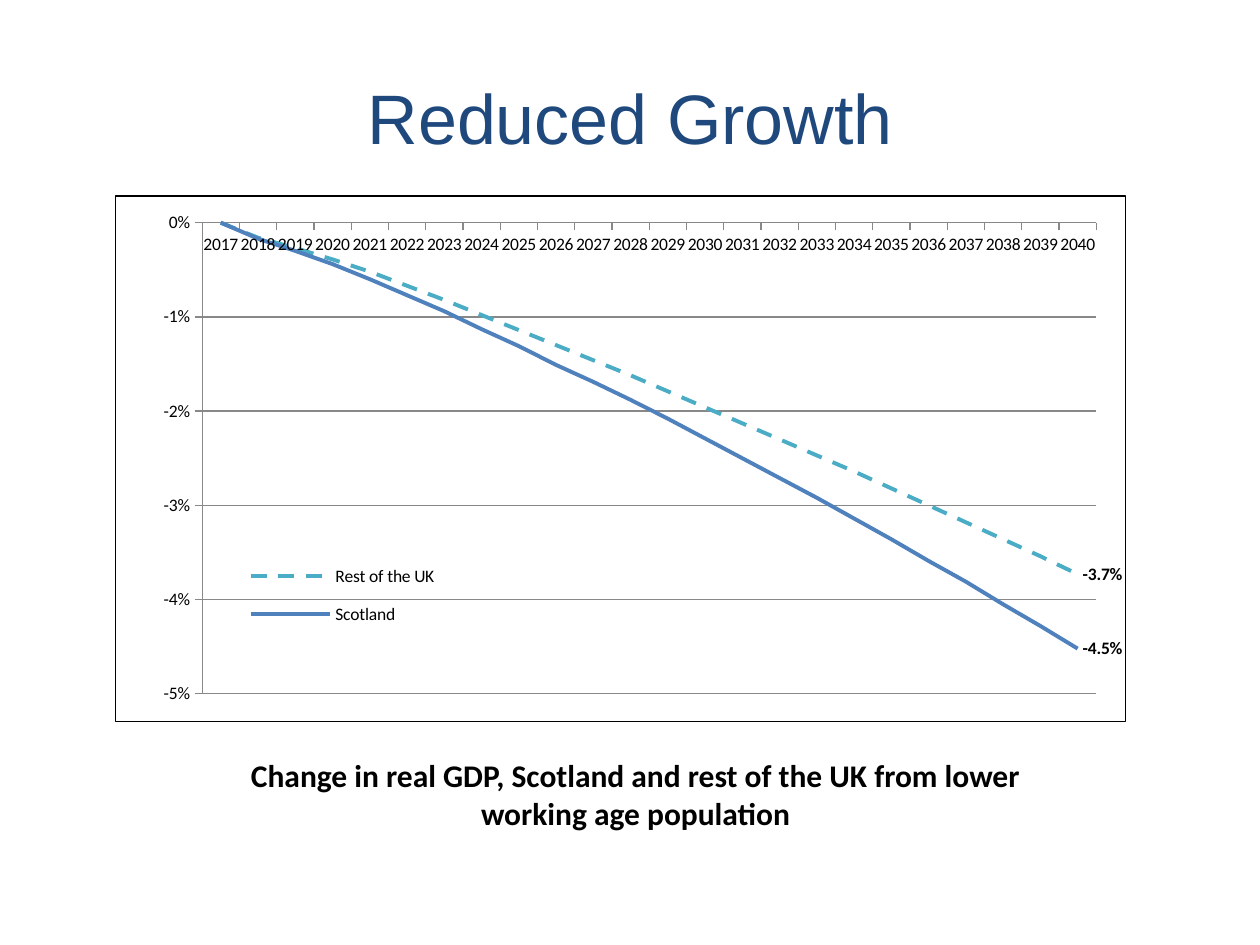
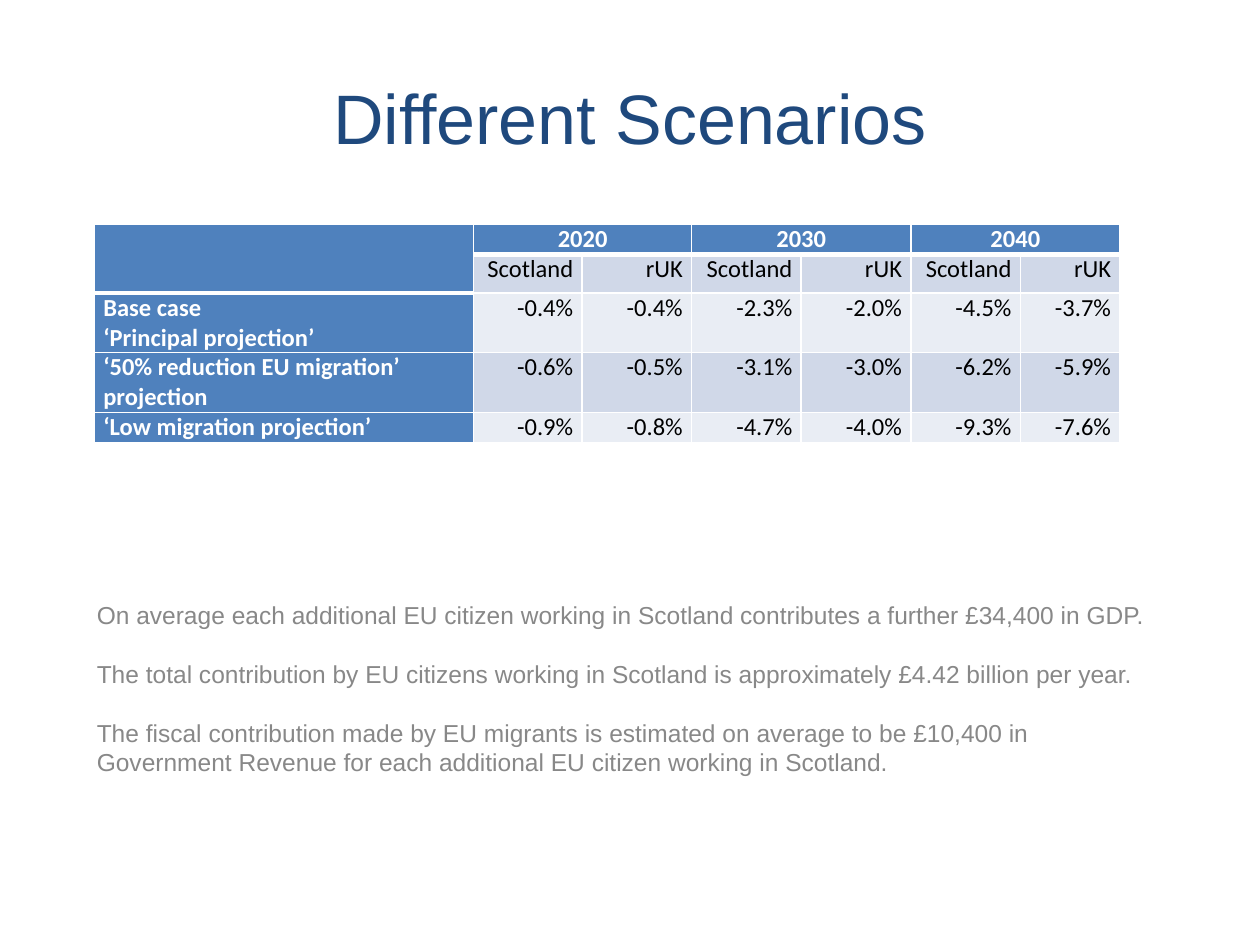
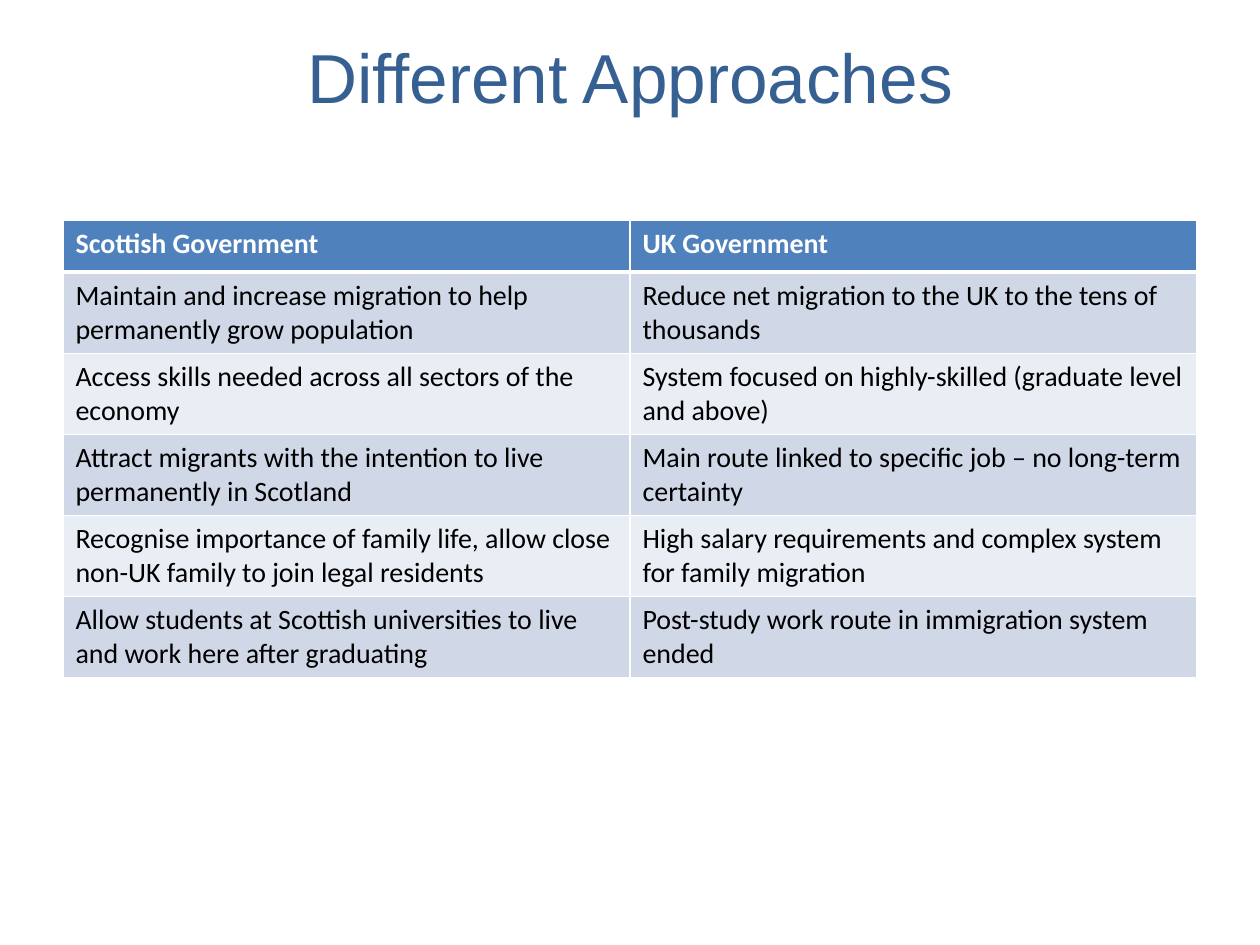
from lxml.etree import SubElement
from pptx import Presentation
from pptx.chart.data import CategoryChartData
from pptx.dml.color import RGBColor
from pptx.enum.chart import (XL_CHART_TYPE, XL_LABEL_POSITION,
                             XL_LEGEND_POSITION, XL_TICK_MARK)
from pptx.enum.dml import MSO_LINE
from pptx.enum.text import MSO_ANCHOR, MSO_AUTO_SIZE, PP_ALIGN
from pptx.oxml import parse_xml
from pptx.oxml.ns import nsdecls, qn
from pptx.util import Inches, Pt

NAVY = RGBColor(0x1F, 0x49, 0x7D)
STEEL = RGBColor(0x37, 0x60, 0x92)
BLUE = RGBColor(0x4F, 0x81, 0xBD)
TEAL = RGBColor(0x4B, 0xAC, 0xC6)
BAND_DARK = RGBColor(0xD0, 0xD8, 0xE8)
BAND_LIGHT = RGBColor(0xE9, 0xED, 0xF4)
GREY = RGBColor(0x88, 0x88, 0x88)
BLACK = RGBColor(0, 0, 0)
WHITE = RGBColor(0xFF, 0xFF, 0xFF)

HEADING, BODY = "Arial", "Calibri"
MARGIN, TITLE_TOP, TITLE_HEIGHT = 0.5, 0.3, 1.25

# Slide 1: change in real GDP, in percent
YEARS = range(2017, 2041)
GDP_CHANGE = {
    "Rest of the UK": (TEAL, MSO_LINE.DASH, [
        0, -0.16, -0.27, -0.39, -0.52, -0.67, -0.82, -0.98,
        -1.14, -1.30, -1.46, -1.62, -1.79, -1.96, -2.13, -2.30,
        -2.47, -2.64, -2.82, -3.00, -3.18, -3.36, -3.54, -3.73]),
    "Scotland": (BLUE, MSO_LINE.SOLID, [
        0, -0.17, -0.30, -0.44, -0.60, -0.77, -0.94, -1.13,
        -1.31, -1.51, -1.69, -1.88, -2.08, -2.29, -2.50, -2.71,
        -2.92, -3.14, -3.36, -3.59, -3.81, -4.05, -4.28, -4.52]),
}
CAPTION = ("Change in real GDP, Scotland and rest of the UK "
           "from lower working age population")

# Slide 2: scenarios by horizon year and region
HORIZONS = ["2020", "2030", "2040"]
REGIONS = ["Scotland", "rUK"]
SCENARIOS = [
    ("Base case\n‘Principal projection’",
     ["-0.4%", "-0.4%", "-2.3%", "-2.0%", "-4.5%", "-3.7%"]),
    ("‘50% reduction EU migration’ projection",
     ["-0.6%", "-0.5%", "-3.1%", "-3.0%", "-6.2%", "-5.9%"]),
    ("‘Low migration projection’",
     ["-0.9%", "-0.8%", "-4.7%", "-4.0%", "-9.3%", "-7.6%"]),
]
SCENARIO_WIDTHS = [3.01, 0.86, 0.87, 0.87, 0.87, 0.87, 0.79]
SCENARIO_HEIGHTS = [0.24, 0.24, 0.47, 0.47, 0.24]
CONTRIBUTIONS = [
    "On average each additional EU citizen working in Scotland contributes "
    "a further £34,400 in GDP.",
    "The total contribution by EU citizens working in Scotland is "
    "approximately £4.42 billion per year.",
    "The fiscal contribution made by EU migrants is estimated on average to "
    "be £10,400 in Government Revenue for each additional EU citizen working "
    "in Scotland.",
]

# Slide 3: the two governments side by side
APPROACHES = [
    ("Scottish Government", "UK Government"),
    ("Maintain and increase migration to help permanently grow population",
     "Reduce net migration to the UK to the tens of thousands"),
    ("Access skills needed across all sectors of the economy",
     "System focused on highly-skilled (graduate level and above)"),
    ("Attract migrants with the intention to live permanently in Scotland",
     "Main route linked to specific job – no long-term certainty"),
    ("Recognise importance of family life, allow close non-UK family to join "
     "legal residents",
     "High salary requirements and complex system for family migration"),
    ("Allow students at Scottish universities to live and work here after "
     "graduating",
     "Post-study work route in immigration system ended"),
]


def apply(target, values):
    for key, value in values.items():
        setattr(target, key, value)


def style_font(font, size, color, name=BODY, bold=False):
    apply(font, {"size": Pt(size), "name": name, "bold": bold})
    font.color.rgb = color


def write(frame, text, size, color, name=BODY, bold=False,
          align=PP_ALIGN.LEFT, gap=0):
    frame.text = text
    for index, paragraph in enumerate(frame.paragraphs):
        paragraph.alignment = align
        if index and gap:
            paragraph.space_before = Pt(gap)
        for run in paragraph.runs:
            style_font(run.font, size, color, name, bold)


def add_titled_slide(deck, title, size=40, color=NAVY, height=TITLE_HEIGHT):
    slide = deck.slides.add_slide(deck.slide_layouts[5])
    heading = slide.shapes.title
    apply(heading, {"left": Inches(MARGIN), "top": Inches(TITLE_TOP),
                    "width": deck.slide_width - 2 * Inches(MARGIN),
                    "height": Inches(height)})
    write(heading.text_frame, title, size, color, HEADING,
          align=PP_ALIGN.CENTER)
    apply(heading.text_frame, {"vertical_anchor": MSO_ANCHOR.MIDDLE,
                               "auto_size": MSO_AUTO_SIZE.NONE})
    return slide


def add_note(slide, box, text, anchor=MSO_ANCHOR.TOP, **style):
    frame = slide.shapes.add_textbox(*map(Inches, box)).text_frame
    apply(frame, {"word_wrap": True, "vertical_anchor": anchor})
    write(frame, text, **style)


# Tables
def add_grid(slide, left, top, widths, heights):
    grid = slide.shapes.add_table(
        len(heights), len(widths), Inches(left), Inches(top),
        Inches(sum(widths)), Inches(sum(heights))).table
    for column, width in zip(grid.columns, widths):
        column.width = Inches(width)
    for row, height in zip(grid.rows, heights):
        row.height = Inches(height)
    return grid


def fill_cell(cell, text, size, fill, header=False, top=1, bottom=1,
              align=PP_ALIGN.LEFT, insets=None):
    properties = cell._tc.get_or_add_tcPr()
    for side, width in (("L", 1), ("R", 1), ("T", top), ("B", bottom)):
        line = SubElement(properties, qn(f"a:ln{side}"), w=str(Pt(width)))
        solid = SubElement(line, qn("a:solidFill"))
        SubElement(solid, qn("a:srgbClr"), val=str(WHITE))
    cell.fill.solid()
    cell.fill.fore_color.rgb = fill
    if insets:
        apply(cell, insets)
    if text:
        write(cell.text_frame, text, size, WHITE if header else BLACK,
              bold=header, align=align)


# Chart
def manual_layout(x, y, w, h, inner=False):
    target = '<c:layoutTarget val="inner"/>' if inner else ""
    sizes = "".join(f'<c:{key} val="{value}"/>' for key, value in
                    zip("xywh", (x, y, w, h)))
    return parse_xml(
        f'<c:layout {nsdecls("c")}><c:manualLayout>{target}'
        '<c:xMode val="edge"/><c:yMode val="edge"/>'
        f'{sizes}</c:manualLayout></c:layout>')


def place_chart_parts(chart):
    root = chart.element
    plot_area = root.find(".//" + qn("c:plotArea"))
    legend = root.find(".//" + qn("c:legend"))
    for part in (plot_area, legend):
        for layout in part.findall(qn("c:layout")):
            part.remove(layout)
    plot_area.insert(0, manual_layout(0.086, 0.051, 0.885, 0.897, True))
    legend.find(qn("c:legendPos")).addnext(
        manual_layout(0.115, 0.67, 0.22, 0.18))
    border = parse_xml(
        f'<c:spPr {nsdecls("c", "a")}><a:noFill/><a:ln w="{Pt(0.75)}">'
        f'<a:solidFill><a:srgbClr val="{BLACK}"/></a:solidFill></a:ln></c:spPr>')
    root.find(qn("c:txPr")).addprevious(border)


def build_growth(deck):
    slide = add_titled_slide(deck, "Reduced Growth")
    data = CategoryChartData(number_format="0.0%")
    data.categories = [str(year) for year in YEARS]
    for region, (_, _, changes) in GDP_CHANGE.items():
        data.add_series(region, [round(c / 100, 4) for c in changes])
    box = map(Inches, (0.91, 1.55, 8.03, 4.18))
    chart = slide.shapes.add_chart(XL_CHART_TYPE.LINE, *box, data).chart
    apply(chart, {"has_title": False, "has_legend": True})
    style_font(chart.font, 10, BLACK)
    apply(chart.legend, {"position": XL_LEGEND_POSITION.RIGHT,
                         "include_in_layout": False})
    chart.plots[0].vary_by_categories = False

    # Axes and gridlines
    years, change = chart.category_axis, chart.value_axis
    apply(change, {"minimum_scale": -0.05, "maximum_scale": 0,
                   "major_unit": 0.01, "has_major_gridlines": True})
    apply(change.tick_labels, {"number_format": "0%",
                               "number_format_is_linked": False})
    for axis in (years, change):
        apply(axis, {"major_tick_mark": XL_TICK_MARK.OUTSIDE,
                     "minor_tick_mark": XL_TICK_MARK.NONE})
        style_font(axis.tick_labels.font, 10, BLACK)
    years._element.find(qn("c:txPr")).find(qn("a:bodyPr")).set("rot", "0")
    for part in (years, change, change.major_gridlines):
        part.format.line.color.rgb = GREY
        part.format.line.width = Pt(0.75)

    # Lines, each labelled at its last year
    for series, (color, dash, _) in zip(chart.plots[0].series,
                                        GDP_CHANGE.values()):
        series.smooth = False
        series.format.line.color.rgb = color
        apply(series.format.line, {"width": Pt(2.25), "dash_style": dash})
        series.data_labels.show_value = False
        label = series.points[len(YEARS) - 1].data_label
        style_font(label.font, 10, BLACK, bold=True)
        label.position = XL_LABEL_POSITION.RIGHT
    place_chart_parts(chart)
    add_note(slide, (1.54, 5.95, 7.01, 0.71), CAPTION, size=18, color=BLACK,
             bold=True, align=PP_ALIGN.CENTER)


def build_scenarios(deck):
    slide = add_titled_slide(deck, "Different Scenarios")
    grid = add_grid(slide, 0.75, 1.78, SCENARIO_WIDTHS, SCENARIO_HEIGHTS)
    tight = {"margin_left": Inches(0.07), "margin_right": Inches(0.07),
             "margin_top": 0, "margin_bottom": 0}

    # Two header rows: horizons over regions
    grid.cell(0, 0).merge(grid.cell(1, 0))
    for row in (0, 1):
        fill_cell(grid.cell(row, 0), "", 14, BLUE, bottom=3, insets=tight)
    for index, horizon in enumerate(HORIZONS):
        first = 1 + index * len(REGIONS)
        last = first + len(REGIONS) - 1
        grid.cell(0, first).merge(grid.cell(0, last))
        for column, region in enumerate(REGIONS, first):
            fill_cell(grid.cell(0, column), horizon if column == first else "",
                      14, BLUE, header=True, bottom=3,
                      align=PP_ALIGN.CENTER, insets=tight)
            fill_cell(grid.cell(1, column), region, 14, BAND_DARK, top=3,
                      align=PP_ALIGN.RIGHT, insets=tight)

    # One row per scenario
    for row, (scenario, changes) in enumerate(SCENARIOS, 2):
        fill_cell(grid.cell(row, 0), scenario, 14, BLUE, header=True,
                  top=3 if row == 2 else 1, insets=tight)
        for column, change in enumerate(changes, 1):
            fill_cell(grid.cell(row, column), change, 14,
                      BAND_DARK if row % 2 else BAND_LIGHT,
                      align=PP_ALIGN.RIGHT, insets=tight)
    add_note(slide, (0.67, 4.71, 8.64, 1.51), "\n".join(CONTRIBUTIONS),
             MSO_ANCHOR.MIDDLE, size=14, color=GREY, name=HEADING, gap=16.8)


def build_approaches(deck):
    slide = add_titled_slide(deck, "Different Approaches", 39.6, STEEL, 0.61)
    heights = [0.41] + [0.64] * (len(APPROACHES) - 1)
    grid = add_grid(slide, MARGIN, 1.75, [4.5, 4.5], heights)
    for row, approaches in enumerate(APPROACHES):
        header = row == 0
        fill = BLUE if header else BAND_DARK if row % 2 else BAND_LIGHT
        for column, approach in enumerate(approaches):
            fill_cell(grid.cell(row, column), approach, 16, fill, header,
                      top=3 if row == 1 else 1, bottom=3 if header else 1)


def main():
    deck = Presentation()
    apply(deck, {"slide_width": Inches(10), "slide_height": Inches(7.5)})
    build_growth(deck)
    build_scenarios(deck)
    build_approaches(deck)
    deck.save("out.pptx")


if __name__ == "__main__":
    main()
